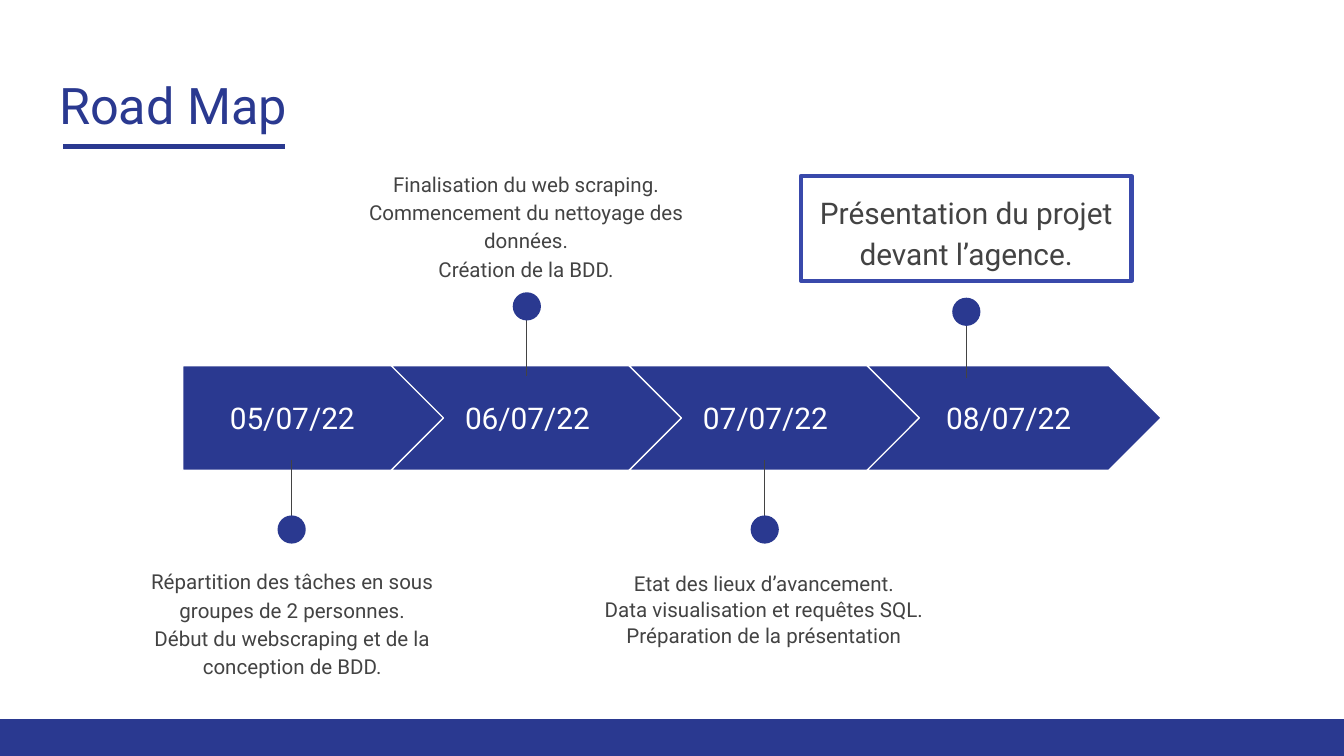
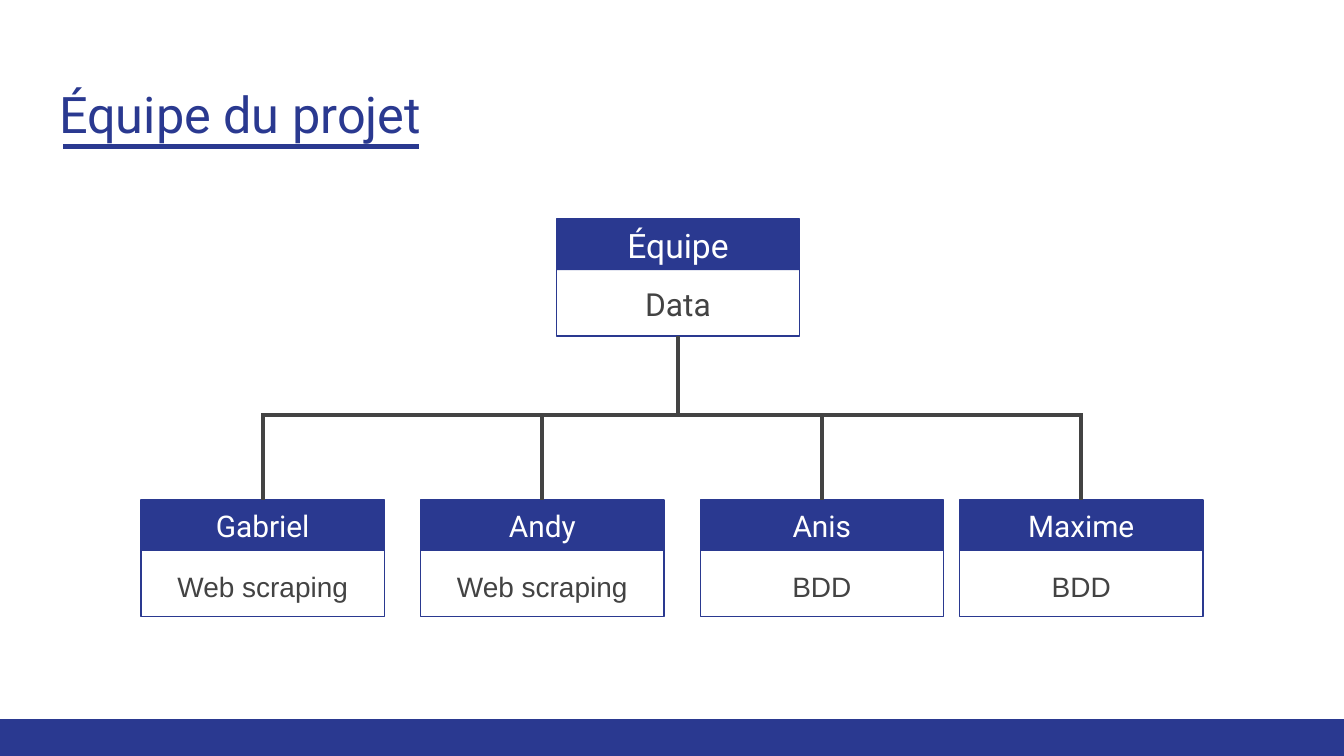
from lxml.etree import SubElement
from pptx import Presentation
from pptx.dml.color import RGBColor
from pptx.enum.shapes import MSO_CONNECTOR as Connector, MSO_SHAPE as Shape
from pptx.enum.text import MSO_ANCHOR as Anchor, MSO_AUTO_SIZE as AutoSize, PP_ALIGN as Align
from pptx.oxml.ns import qn
from pptx.util import Inches, Pt

NAVY = RGBColor(0x2A, 0x39, 0x90)
INDIGO = RGBColor(0x39, 0x49, 0xAB)
GRAY = RGBColor(0x43, 0x43, 0x43)
WHITE = RGBColor(0xFF, 0xFF, 0xFF)

TITLE_ONLY = 5
INSET = 0.1
ARROW_TOP, ARROW_HEIGHT = 2.72, 0.78
DOT = 0.21
CARD_WIDTH, CARD_HEIGHT, HEADER_HEIGHT = 1.81, 0.87, 0.38
ROOT_LEFT, ROOT_TOP = 4.14, 1.63
BUS_TOP, TEAM_TOP = 3.09, 3.72

ARROWS = [
    (Shape.PENTAGON, 1.36, 2, "05/07/22", 1.47),
    (Shape.CHEVRON, 2.91, 2.19, "06/07/22", 3.22),
    (Shape.CHEVRON, 4.68, 2.19, "07/07/22", 4.99),
    (Shape.CHEVRON, 6.45, 2.19, "08/07/22", 6.8),
]
PINS = [(2.17, 3.94, 3.42), (3.92, 2.28, 2.8), (5.69, 3.94, 3.42), (7.19, 2.32, 2.81)]
NOTES = [
    ((0.9, 4.11, 2.55, 0.76), 1.15, [
        "Répartition des tâches en sous groupes de 2 personnes.",
        "Début du webscraping et de la conception de BDD.",
    ]),
    ((2.59, 1.15, 2.65, 0.87), 1.15, [
        "Finalisation du web scraping.",
        "Commencement du nettoyage des données.",
        "Création de la BDD.",
    ]),
    ((4.36, 4.14, 2.65, 0.59), 1.05, [
        "Etat des lieux d’avancement.",
        "Data visualisation et requêtes SQL.",
        "Préparation de la présentation",
    ]),
]
TEAM = [
    (1.05, "Gabriel", "Web scraping"),
    (3.13, "Andy", "Web scraping"),
    (5.21, "Anis", "BDD"),
    (7.14, "Maxime", "BDD"),
]


def write_text(shape, lines, size, color=GRAY, font="Roboto", align=Align.CENTER,
               anchor=Anchor.TOP, spacing=1.0, after=0):
    frame = shape.text_frame
    frame.word_wrap = True
    frame.auto_size = AutoSize.NONE
    frame.vertical_anchor = anchor
    frame.margin_left = frame.margin_right = Inches(INSET)
    frame.margin_top = frame.margin_bottom = Inches(INSET)
    frame.text = "\n".join(lines)
    for paragraph in frame.paragraphs:
        paragraph.alignment = align
        paragraph.line_spacing = spacing
        paragraph.space_before = Pt(0)
        paragraph.space_after = Pt(after)
        paragraph.font.size = Pt(size)
        paragraph.font.name = font
        paragraph.font.color.rgb = color


def add_box(slide, kind, box, fill=None, line=None, width=0.75):
    shape = slide.shapes.add_shape(kind, *map(Inches, box))
    shape.shadow.inherit = False
    if fill is None:
        shape.fill.background()
    else:
        shape.fill.solid()
        shape.fill.fore_color.rgb = fill
    if line is None:
        shape.line.fill.background()
    else:
        shape.line.color.rgb = line
        shape.line.width = Pt(width)
    return shape


def add_label(slide, box, lines, size, **text_format):
    label = slide.shapes.add_textbox(*map(Inches, box))
    write_text(label, lines, size, **text_format)


def add_line(slide, start, end, color=GRAY, width=2.25):
    line = slide.shapes.add_connector(Connector.STRAIGHT, *map(Inches, (*start, *end)))
    line.line.color.rgb = color
    line.line.width = Pt(width)
    SubElement(line.element.spPr, qn("a:effectLst"))
    return line


def add_titled_slide(presentation, title, underline_end, spacing=1.0):
    slide = presentation.slides.add_slide(presentation.slide_layouts[TITLE_ONLY])
    heading = slide.shapes.title
    heading.left, heading.top = Inches(0.34), Inches(0.45)
    heading.width, heading.height = Inches(9.32), Inches(0.66)
    write_text(heading, [title], 27, color=NAVY, align=Align.LEFT, spacing=spacing)
    add_box(slide, Shape.RECTANGLE, (0, 5.35, 10, 0.28), fill=NAVY)
    add_line(slide, (0.47, 1.09), (underline_end, 1.09), NAVY)
    return slide


def add_pin(slide, x, dot_y, end_y):
    add_line(slide, (x, dot_y), (x, end_y), width=0.75)
    add_box(slide, Shape.OVAL, (x - DOT / 2, dot_y - DOT / 2, DOT, DOT), fill=NAVY)


def add_card(slide, left, top, name, role, name_size=16, role_size=15, role_font="Arial"):
    frame = add_box(slide, Shape.RECTANGLE, (left, top, CARD_WIDTH, CARD_HEIGHT), line=NAVY)
    write_text(frame, [role], role_size, font=role_font, anchor=Anchor.BOTTOM)
    header = add_box(slide, Shape.RECTANGLE, (left, top, CARD_WIDTH, HEADER_HEIGHT), fill=NAVY)
    write_text(header, [name], name_size, color=WHITE, anchor=Anchor.MIDDLE)
    return frame


def build_road_map(presentation):
    slide = add_titled_slide(presentation, "Road Map", 2.12)
    for kind, left, width, date, date_left in ARROWS:
        add_box(slide, kind, (left, ARROW_TOP, width, ARROW_HEIGHT), fill=NAVY, line=WHITE)
        add_label(slide, (date_left, 2.86, 1.41, 0.5), [date], 16,
                  color=WHITE, anchor=Anchor.MIDDLE)
    for pin in PINS:
        add_pin(slide, *pin)
    for box, spacing, lines in NOTES:
        add_label(slide, box, lines, 11, spacing=spacing)
    milestone = add_box(slide, Shape.RECTANGLE, (5.96, 1.31, 2.46, 0.78),
                        line=INDIGO, width=2.25)
    write_text(milestone, ["Présentation du projet devant l’agence."], 16,
               spacing=1.15, after=12)


def build_team(presentation):
    slide = add_titled_slide(presentation, "Équipe du projet", 3.12, spacing=1.15)
    root = add_card(slide, ROOT_LEFT, ROOT_TOP, "Équipe", "Data",
                    name_size=18, role_size=17, role_font="Roboto")
    root_center = ROOT_LEFT + CARD_WIDTH / 2
    trunk = add_line(slide, (root_center, ROOT_TOP + CARD_HEIGHT), (root_center, BUS_TOP))
    trunk.begin_connect(root, 2)
    centers = [left + CARD_WIDTH / 2 for left, _, _ in TEAM]
    bus = add_line(slide, (centers[0], BUS_TOP), (centers[-1], BUS_TOP))
    bus.element.spPr.find(qn("a:ln")).set("cap", "sq")
    for center, (left, name, role) in zip(centers, TEAM):
        member = add_card(slide, left, TEAM_TOP, name, role)
        branch = add_line(slide, (center, BUS_TOP), (center, TEAM_TOP))
        branch.end_connect(member, 0)


def main():
    presentation = Presentation()
    presentation.slide_width = Inches(10)
    presentation.slide_height = Inches(10) * 9 // 16
    build_road_map(presentation)
    build_team(presentation)
    presentation.save("out.pptx")


if __name__ == "__main__":
    main()
